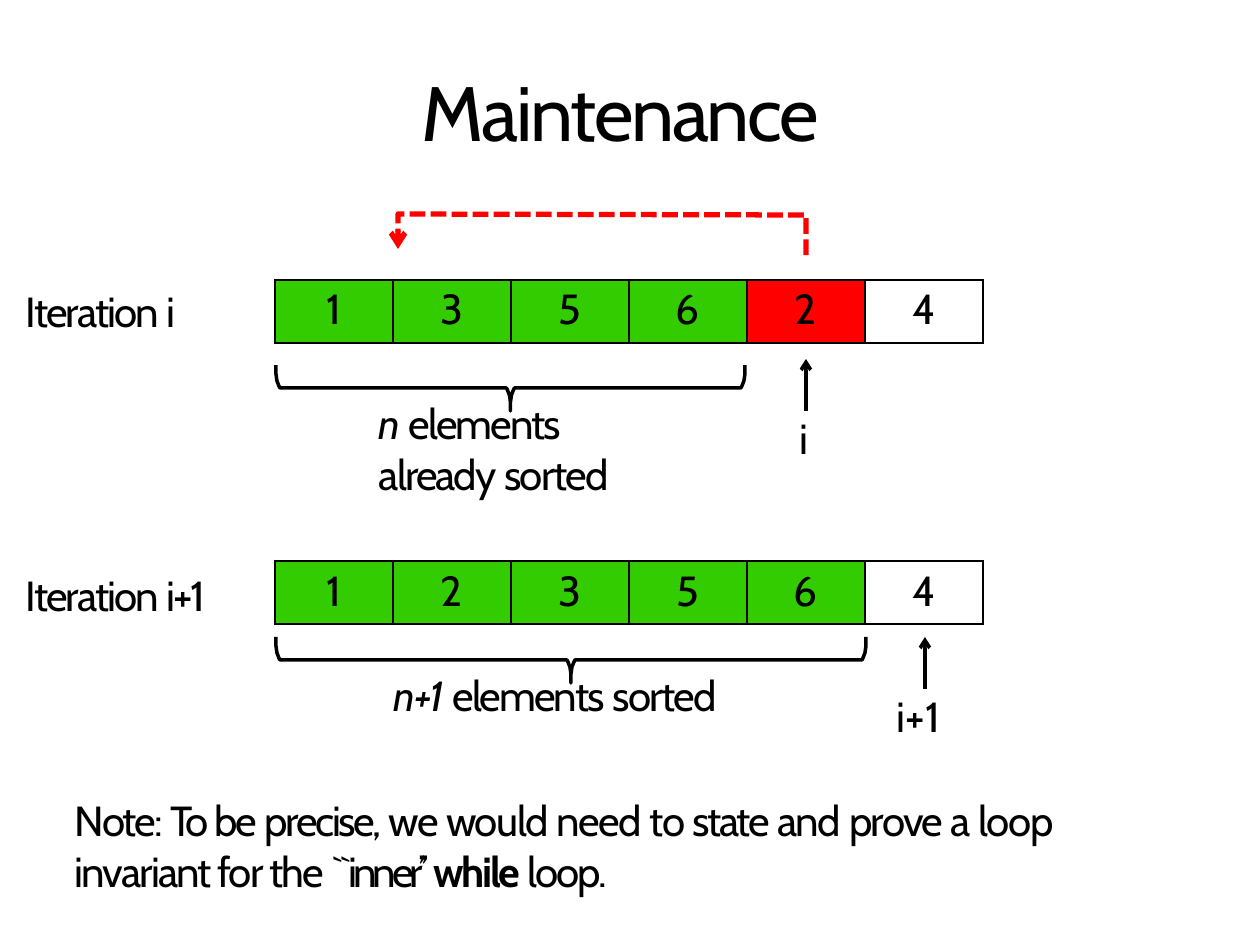
import pptx
import pptx.dml.color
import pptx.enum.dml
import pptx.enum.shapes
import pptx.enum.text
import pptx.oxml
import pptx.oxml.ns
import pptx.util

PX = 914400 / 126
FONT = "Cabin"
BLACK = pptx.dml.color.RGBColor(0x00, 0x00, 0x00)
WHITE = pptx.dml.color.RGBColor(0xFF, 0xFF, 0xFF)
GREEN = pptx.dml.color.RGBColor(0x33, 0xCC, 0x00)
RED = pptx.dml.color.RGBColor(0xFF, 0x00, 0x00)

NOTE = [
    ("Note: ", -1.1), ("To ", -2.3), ("be ", -1), ("precise, ", -1.4),
    ("we ", -1.1), ("would ", -0.8), ("need ", -0.9), ("to ", -1),
    ("state ", -1.4), ("and ", -0.8), ("prove ", -1), ("a ", -1.1),
    ("loop ", -0.8), ("invariant for the ", -1.1), ("``inner’’ ", -2.3),
    ("while ", -1.4, "bold"), ("loop.", -1.1),
]


def emu(px):
    return pptx.util.Emu(round(px * PX))


def set_font(para, size):
    para.font.name = FONT
    para.font.size = pptx.util.Pt(size)
    para.font.color.rgb = BLACK


def add_text(slide, box, runs, size=24, top=2, lead=None):
    shape = slide.shapes.add_textbox(*map(emu, box))
    frame = shape.text_frame
    frame.margin_left = frame.margin_right = frame.margin_bottom = 0
    frame.margin_top = emu(top)
    frame.word_wrap = lead is not None
    para = frame.paragraphs[0]
    if lead:
        para.line_spacing = pptx.util.Pt(lead)
    set_font(para, size)
    for text, gap, *style in runs:
        run = para.add_run()
        run.text = text
        run._r.get_or_add_rPr().set("spc", str(round(gap * 100)))
        if "bold" in style:
            run.font.bold = True
        if "italic" in style:
            run.font.italic = True


def add_edges(cell):
    props = cell._tc.get_or_add_tcPr()
    for spot, side in enumerate(("lnL", "lnR", "lnT", "lnB")):
        props.insert(spot, pptx.oxml.parse_xml(
            f'<a:{side} {pptx.oxml.ns.nsdecls("a")} w="19050"><a:solidFill>'
            f'<a:srgbClr val="{BLACK}"/></a:solidFill></a:{side}>'))


def add_row(slide, top, values, fills, inset):
    box = map(emu, (275, top, 708, 63))
    table = slide.shapes.add_table(1, len(values), *box).table
    table.first_row = table.horz_banding = False
    for cell, value, fill in zip(table.iter_cells(), values, fills):
        cell.margin_left = cell.margin_right = cell.margin_bottom = 0
        cell.margin_top = emu(inset)
        cell.fill.solid()
        cell.fill.fore_color.rgb = fill
        add_edges(cell)
        para = cell.text_frame.paragraphs[0]
        para.alignment = pptx.enum.text.PP_ALIGN.CENTER
        set_font(para, 24)
        para.add_run().text = str(value)


def add_path(slide, points, color, width):
    start, *rest = [(emu(x), emu(y)) for x, y in points]
    maker = slide.shapes.build_freeform(*start)
    maker.add_line_segments(rest, close=False)
    shape = maker.convert_to_shape()
    shape.shadow.inherit = False
    shape.fill.background()
    shape.line.color.rgb = color
    shape.line.width = pptx.util.Pt(width)
    return shape


def add_brace(slide, left, right, top):
    mid = (left + right) / 2
    edge = [(0, 0), (0, 9), (1, 16), (3, 21), (4, 23)]
    half = [(left + x, top + y) for x, y in edge]
    half += [(mid - x, top + 46 - y) for x, y in reversed(edge)]
    other = [(left + right - x, y) for x, y in reversed(half[:-1])]
    add_path(slide, half + other, BLACK, 2)


def add_head(line):
    line._get_or_add_ln().append(pptx.oxml.parse_xml(
        f'<a:tailEnd {pptx.oxml.ns.nsdecls("a")} type="arrow"/>'))


def add_arrow(slide, x, low, high):
    kind = pptx.enum.shapes.MSO_CONNECTOR.STRAIGHT
    arrow = slide.shapes.add_connector(kind, *map(emu, (x, low, x, high)))
    arrow.line.color.rgb = BLACK
    arrow.line.width = pptx.util.Pt(2)
    add_head(arrow.line)
    arrow._element.spPr.append(pptx.oxml.parse_xml(
        f'<a:effectLst {pptx.oxml.ns.nsdecls("a")}/>'))


def add_move(slide):
    points = [(806, 255), (806, 215), (398, 214), (398, 249)]
    move = add_path(slide, points, RED, 3)
    move.line.dash_style = pptx.enum.dml.MSO_LINE.SQUARE_DOT
    move.line._get_or_add_ln().find(
        pptx.oxml.ns.qn("a:prstDash")).set("val", "sysDash")
    add_head(move.line)


def main():
    deck = pptx.Presentation()
    deck.slide_width = emu(1260)
    deck.slide_height = emu(945)
    slide = deck.slides.add_slide(deck.slide_layouts[6])

    add_text(slide, (422, 63, 416, 96), [("Maintenance", -1.3)], size=44)

    add_row(slide, 280, [1, 3, 5, 6, 2, 4], [GREEN] * 4 + [RED, WHITE], 4)
    add_brace(slide, 276, 745, 365)
    add_text(slide, (379, 394, 248, 105),
             [("n ", -0.8, "italic"), ("elements already ", -1.1),
              ("sorted", -0.9)], top=4, lead=28.7)
    add_arrow(slide, 806, 411, 359)
    add_text(slide, (800, 411, 13, 54), [("i", -1.4)])

    add_row(slide, 561, [1, 2, 3, 5, 6, 4], [GREEN] * 5 + [WHITE], 5)
    add_brace(slide, 276, 866, 637)
    add_text(slide, (394, 667, 354, 54),
             [("n+1 ", -0.7, "italic"), ("elements ", -1.1),
              ("sorted", -0.9)])
    add_move(slide)
    add_arrow(slide, 925, 689, 637)
    add_text(slide, (897, 689, 55, 54),
             [("i", -0.8), ("+", -1.3), ("1", -0.5)])

    add_text(slide, (75, 791, 1046, 105), NOTE, top=4, lead=28.7)
    add_text(slide, (26, 283, 169, 54), [("Iteration ", -1.1), ("i", -1.4)])
    add_text(slide, (26, 567, 212, 54), [("Iteration ", -1.1), ("i+1", -0.8)])

    deck.save("out.pptx")


if __name__ == "__main__":
    main()
